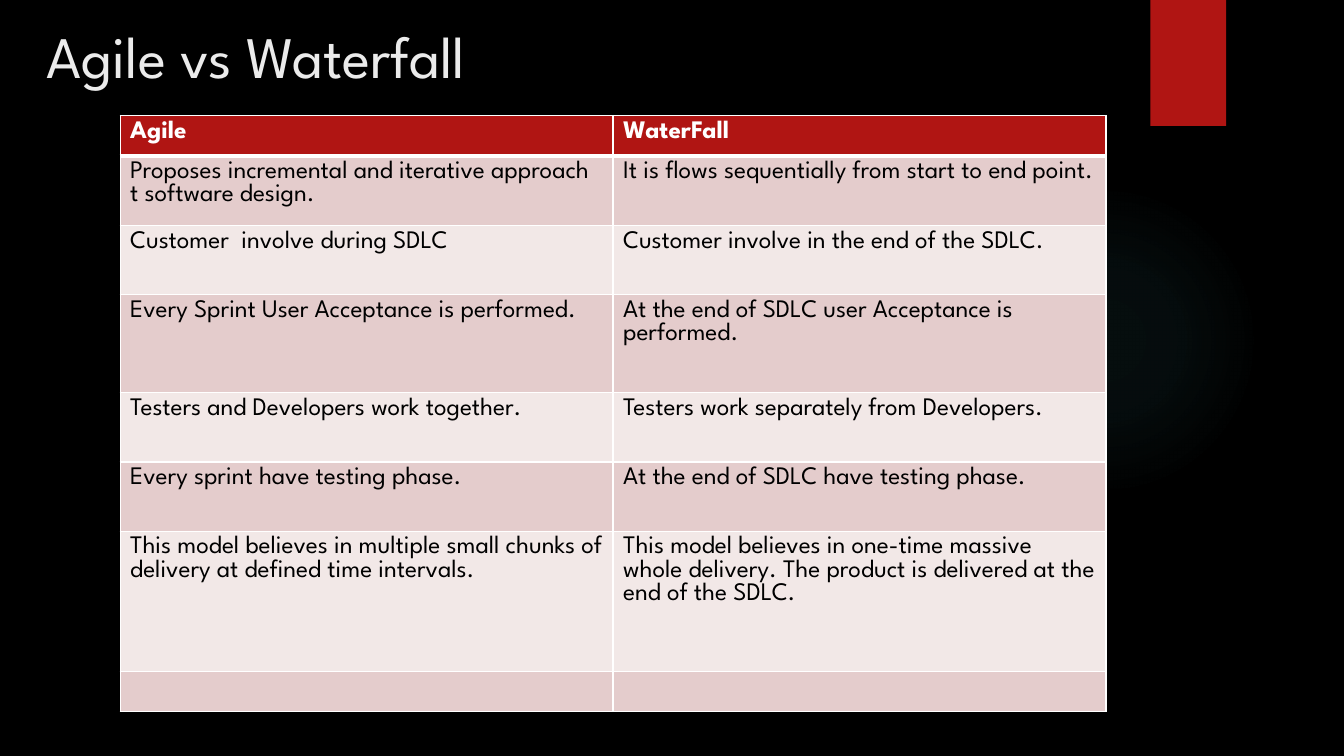
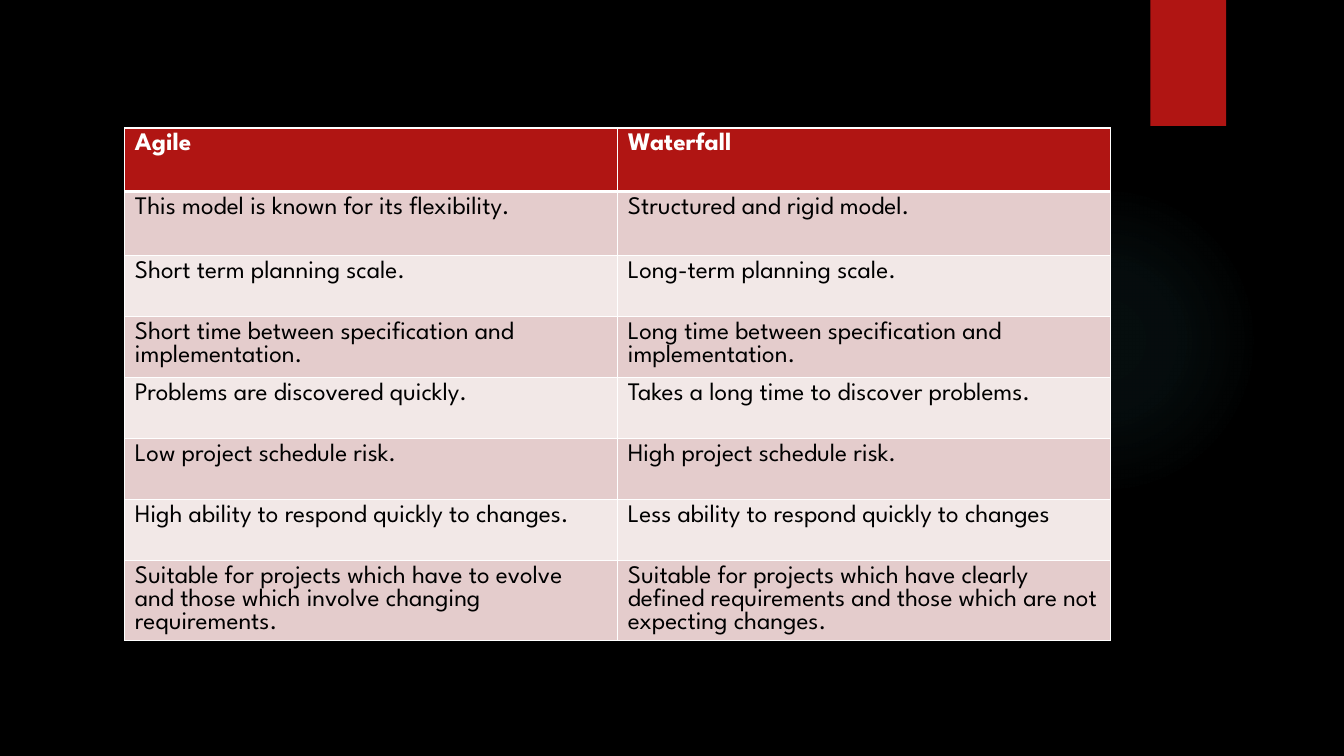
import pptx
import pptx.dml.color
import pptx.enum.shapes
import pptx.enum.text
import pptx.oxml
import pptx.oxml.ns
import pptx.util
from dataclasses import dataclass

Pt = pptx.util.Pt
RGB = pptx.dml.color.RGBColor.from_string
MSO_SHAPE = pptx.enum.shapes.MSO_SHAPE
NS = pptx.oxml.ns.nsdecls("a")


@dataclass(frozen=True)
class Theme:
    font: str = "League Spartan"
    title_size: float = 42
    cell_size: float = 18
    background: str = "000000"
    accent: str = "B01513"
    glow: str = "50B9C1"
    title: str = "EBEBEB"
    header_text: str = "FFFFFF"
    cell_text: str = "000000"
    border: str = "FFFFFF"
    bands: tuple = ("F2E8E7", "E4CCCC")


theme = Theme()


def style(p, size, color, bold=False):
    p.font.name = theme.font
    p.font.size = Pt(size)
    p.font.bold = bold
    p.font.color.rgb = RGB(color)


def add_comparison(s, left, top, heights, rows):
    column_width = 352.1
    frame = s.shapes.add_table(len(rows), 2, Pt(left), Pt(top),
                               Pt(2 * column_width), Pt(sum(heights)))
    table = frame.table
    for column in table.columns:
        column.width = Pt(column_width)
    for i, (height, texts) in enumerate(zip(heights, rows)):
        table.rows[i].height = Pt(height)
        header = i == 0
        widths = {"L": 1, "R": 1, "T": 3 if i == 1 else 1, "B": 3 if header else 1}
        for cell, text in zip(table.rows[i].cells, texts):
            tcPr = cell._tc.get_or_add_tcPr()
            for side, width in widths.items():
                tcPr.append(pptx.oxml.parse_xml(
                    f'<a:ln{side} {NS} w="{Pt(width)}"><a:solidFill>'
                    f'<a:srgbClr val="{theme.border}"/></a:solidFill></a:ln{side}>'))
            cell.fill.solid()
            cell.fill.fore_color.rgb = RGB(theme.accent if header else theme.bands[i % 2])
            cell.text = text
            style(cell.text_frame.paragraphs[0], theme.cell_size,
                  theme.header_text if header else theme.cell_text, header)


prs = pptx.Presentation()
prs.slide_width, prs.slide_height = Pt(960), Pt(540)
master = prs.slide_master
master.background.fill.solid()
master.background.fill.fore_color.rgb = RGB(theme.background)

s = prs.slides.add_slide(prs.slide_layouts[5])
glow = s.shapes.add_shape(MSO_SHAPE.OVAL, Pt(677.5), Pt(131.8), Pt(221.8), Pt(221.8))
ribbon = s.shapes.add_shape(MSO_SHAPE.RECTANGLE, Pt(821.8), Pt(0), Pt(54), Pt(90))
for position, sp in enumerate((glow, ribbon), start=2):
    sp.shadow.inherit = False
    sp.line.fill.background()
    sp.fill.solid()
    sp.fill.fore_color.rgb = RGB(theme.accent)
    master.shapes.element.insert(position, sp.element)

stops = "".join(
    f'<a:gs pos="{pos * 1000}"><a:srgbClr val="{theme.glow}">'
    f'<a:alpha val="{alpha * 1000}"/></a:srgbClr></a:gs>'
    for pos, alpha in ((0, 7), (36, 6), (69, 0), (100, 0)))
gradient = pptx.oxml.parse_xml(
    f'<a:gradFill {NS} rotWithShape="1"><a:gsLst>{stops}</a:gsLst><a:path path="circle">'
    '<a:fillToRect l="50000" t="50000" r="50000" b="50000"/></a:path></a:gradFill>')
solid = glow.element.spPr.find(pptx.oxml.ns.qn("a:solidFill"))
glow.element.spPr.replace(solid, gradient)

title = s.shapes.title
title.left, title.top, title.width, title.height = Pt(26), Pt(10.8), Pt(765.4), Pt(135.4)
tf = title.text_frame
tf.text = "Agile vs Waterfall"
tf.word_wrap = True
tf.auto_size = pptx.enum.text.MSO_AUTO_SIZE.NONE
tf.vertical_anchor = pptx.enum.text.MSO_ANCHOR.TOP
p = tf.paragraphs[0]
p.alignment = pptx.enum.text.PP_ALIGN.LEFT
style(p, theme.title_size, theme.title)

add_comparison(s, 85.8, 82.5, [29, 49.5, 49.5, 70, 49.5, 49.5, 100, 29], [
    ("Agile", "WaterFall"),
    ("Proposes incremental and iterative approach t software design.",
     "It is flows sequentially from start to end point."),
    ("Customer  involve during SDLC", "Customer involve in the end of the SDLC."),
    ("Every Sprint User Acceptance is performed.",
     "At the end of SDLC user Acceptance is performed."),
    ("Testers and Developers work together.", "Testers work separately from Developers."),
    ("Every sprint have testing phase.", "At the end of SDLC have testing phase."),
    ("This model believes in multiple small chunks of delivery at defined time intervals.",
     "This model believes in one-time massive whole delivery. "
     "The product is delivered at the end of the SDLC."),
    ("", ""),
])

s = prs.slides.add_slide(prs.slide_layouts[6])
add_comparison(s, 89.2, 91.4, [45.5] * 2 + [43.6] * 6, [
    ("Agile", "Waterfall"),
    ("This model is known for its flexibility.", "Structured and rigid model."),
    ("Short term planning scale.", "Long-term planning scale."),
    ("Short time between specification and implementation.",
     "Long time between specification and implementation."),
    ("Problems are discovered quickly.", "Takes a long time to discover problems."),
    ("Low project schedule risk.", "High project schedule risk."),
    ("High ability to respond quickly to changes.",
     "Less ability to respond quickly to changes"),
    ("Suitable for projects which have to evolve and those which involve changing requirements.",
     "Suitable for projects which have clearly defined requirements "
     "and those which are not expecting changes."),
])

prs.save("out.pptx")
